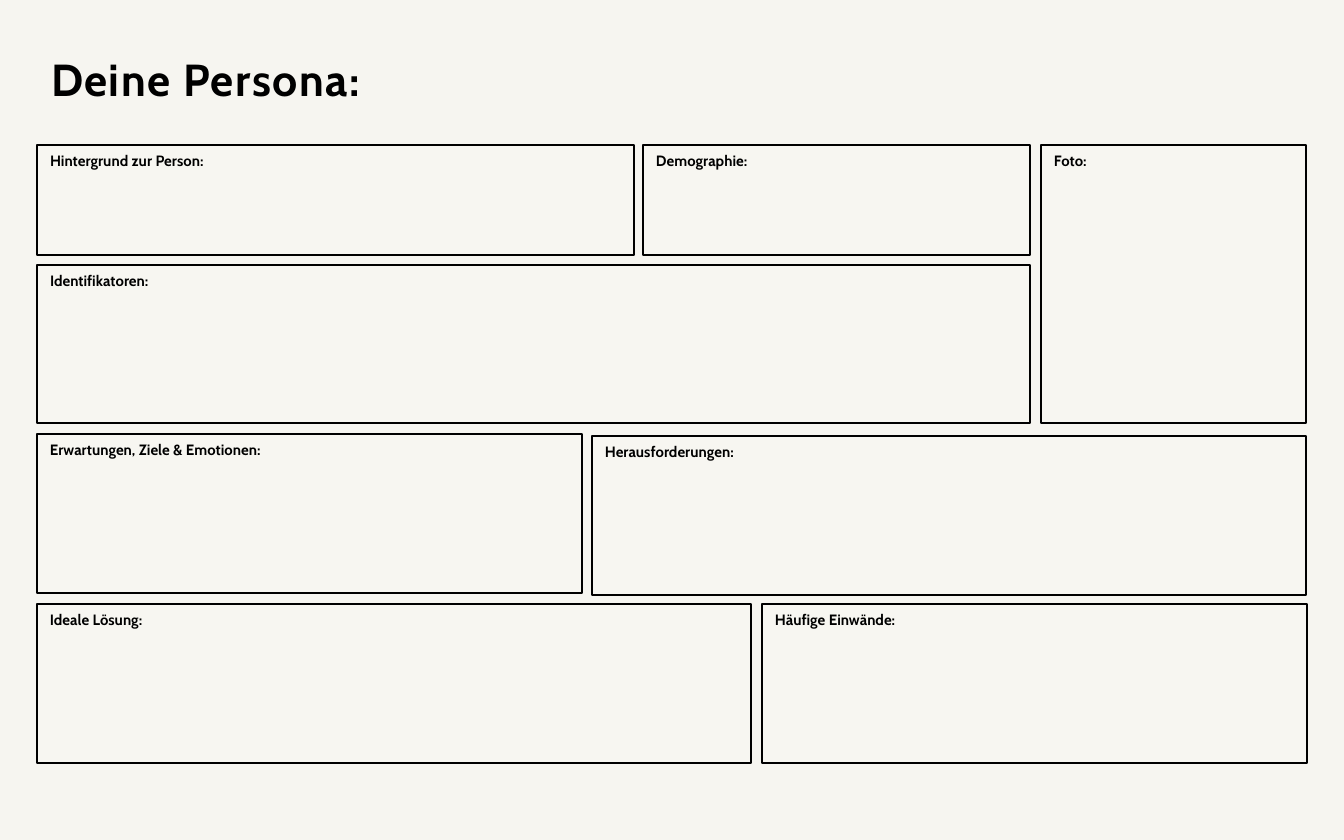
from pptx import Presentation, util as u
from pptx.dml.color import RGBColor
from pptx.enum import shapes, text

SCALE = u.Inches(10) / 1344
COLORS = {"page": "F6F5F0", "box": "F7F6F1", "ink": "000000"}
INSET = {"margin_left": 13, "margin_right": 13, "margin_top": 7, "margin_bottom": 7}
LABEL = {"name": "Cabin", "size": u.Pt(8), "bold": True}
TITLE = {**LABEL, "size": u.Pt(24)}
LEFT, RIGHT = 37, 1306
SHORT, TALL = 110, 159
WIDE, SLIM = 714, 545
ROWS = (145, 265, 434, 604)


def px(num):
    """Turn pixels into EMU."""
    return u.Emu(round(num * SCALE))


def paint(fill, key):
    """Give a fill one solid colour."""
    fill.solid()
    fill.fore_color.rgb = RGBColor.from_string(COLORS[key])


def write(frame, words, style):
    """Put one left-aligned line of words into a text frame."""
    frame.word_wrap = True
    frame.vertical_anchor = text.MSO_ANCHOR.TOP
    for key, val in INSET.items():
        setattr(frame, key, px(val))
    para = frame.paragraphs[0]
    para.alignment = text.PP_ALIGN.LEFT
    run = para.add_run()
    run.text = words
    for key, val in style.items():
        setattr(run.font, key, val)
    paint(run.font.fill, "ink")
    return para


def add_title(slide, words):
    """Add the spaced heading."""
    area = slide.shapes.add_textbox(px(LEFT + 1), px(51), px(1149), px(63))
    para = write(area.text_frame, words, TITLE)
    para.line_spacing = 0.9
    para.runs[0].font._element.set("spc", "80")


def add_box(slide, words, left, top, width, height):
    """Add a framed field with its label at the top left."""
    box = slide.shapes.add_shape(
        shapes.MSO_SHAPE.RECTANGLE, *map(px, (left, top, width, height)))
    box.shadow.inherit = False
    paint(box.fill, "box")
    paint(box.line.fill, "ink")
    box.line.width = u.Pt(0.75)
    write(box.text_frame, words, LABEL)


def main():
    """Build the persona sheet."""
    deck = Presentation()
    deck.slide_width, deck.slide_height = px(1344), px(840)
    slide = deck.slides.add_slide(deck.slide_layouts[6])
    paint(slide.background.fill, "page")
    add_title(slide, "Deine Persona:")
    one, two, three, four = ROWS
    fields = (
        ("Foto:", RIGHT - 265, one, 265, two + TALL - 1 - one),
        ("Hintergrund zur Person:", LEFT, one, 597, SHORT),
        ("Demographie:", 643, one, 387, SHORT),
        ("Identifikatoren:", LEFT, two, 993, TALL - 1),
        ("Erwartungen, Ziele & Emotionen:", LEFT, three, SLIM, TALL),
        ("Herausforderungen:", RIGHT - WIDE, three + 2, WIDE, TALL),
        ("Ideale Lösung:", LEFT, four, WIDE, TALL),
        ("Häufige Einwände:", RIGHT - SLIM + 1, four, SLIM, TALL),
    )
    for field in fields:
        add_box(slide, *field)
    deck.save("out.pptx")


if __name__ == "__main__":
    main()
